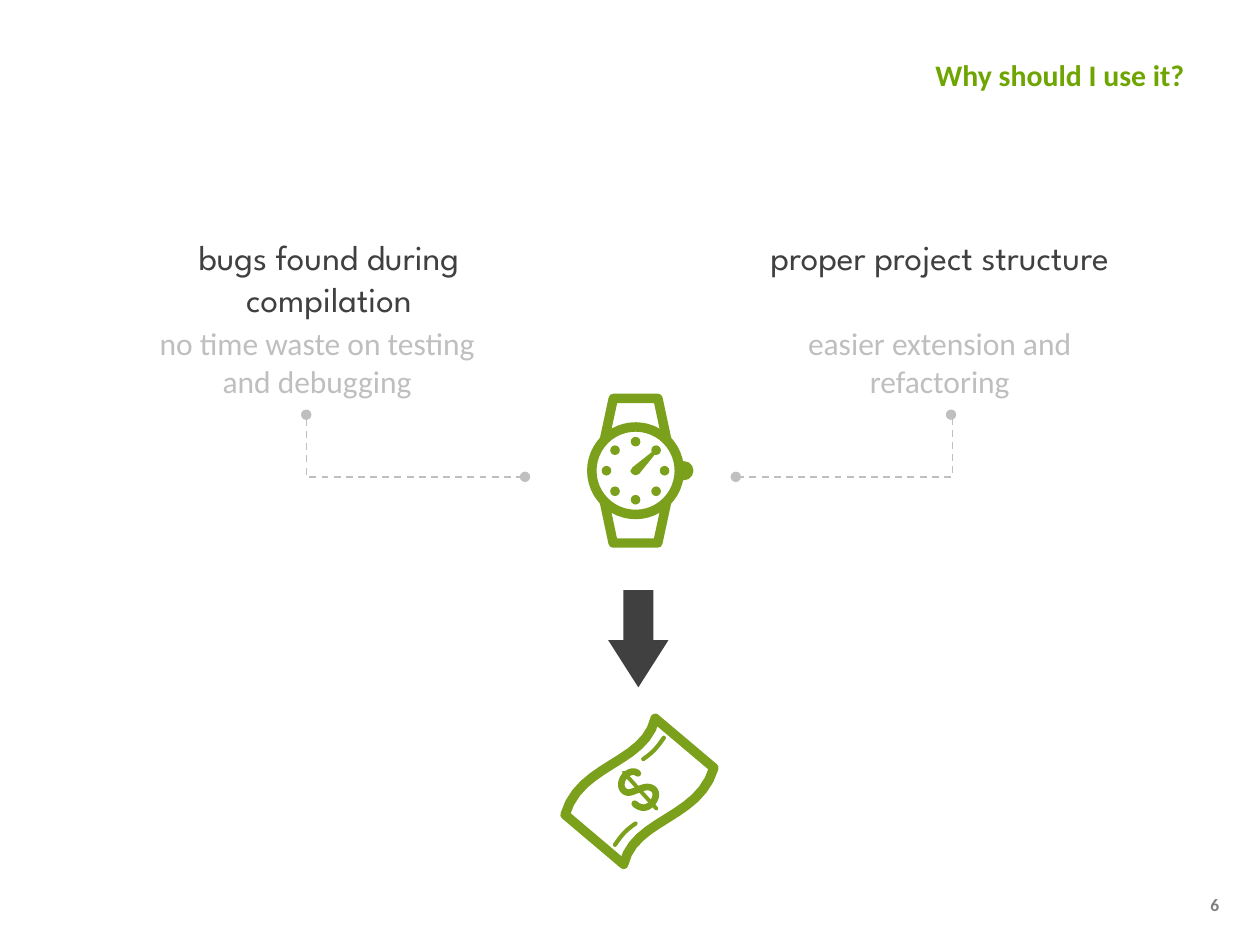
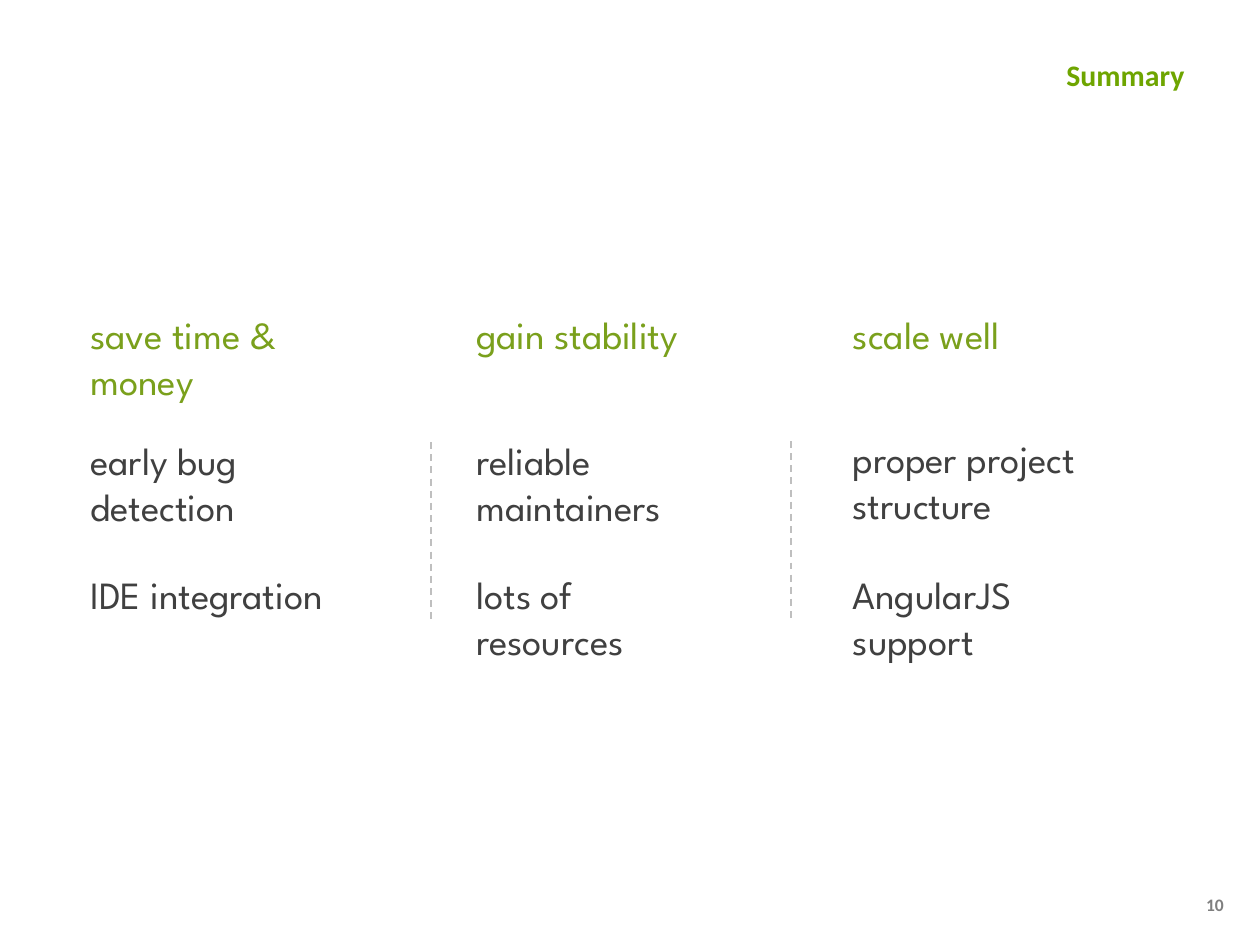
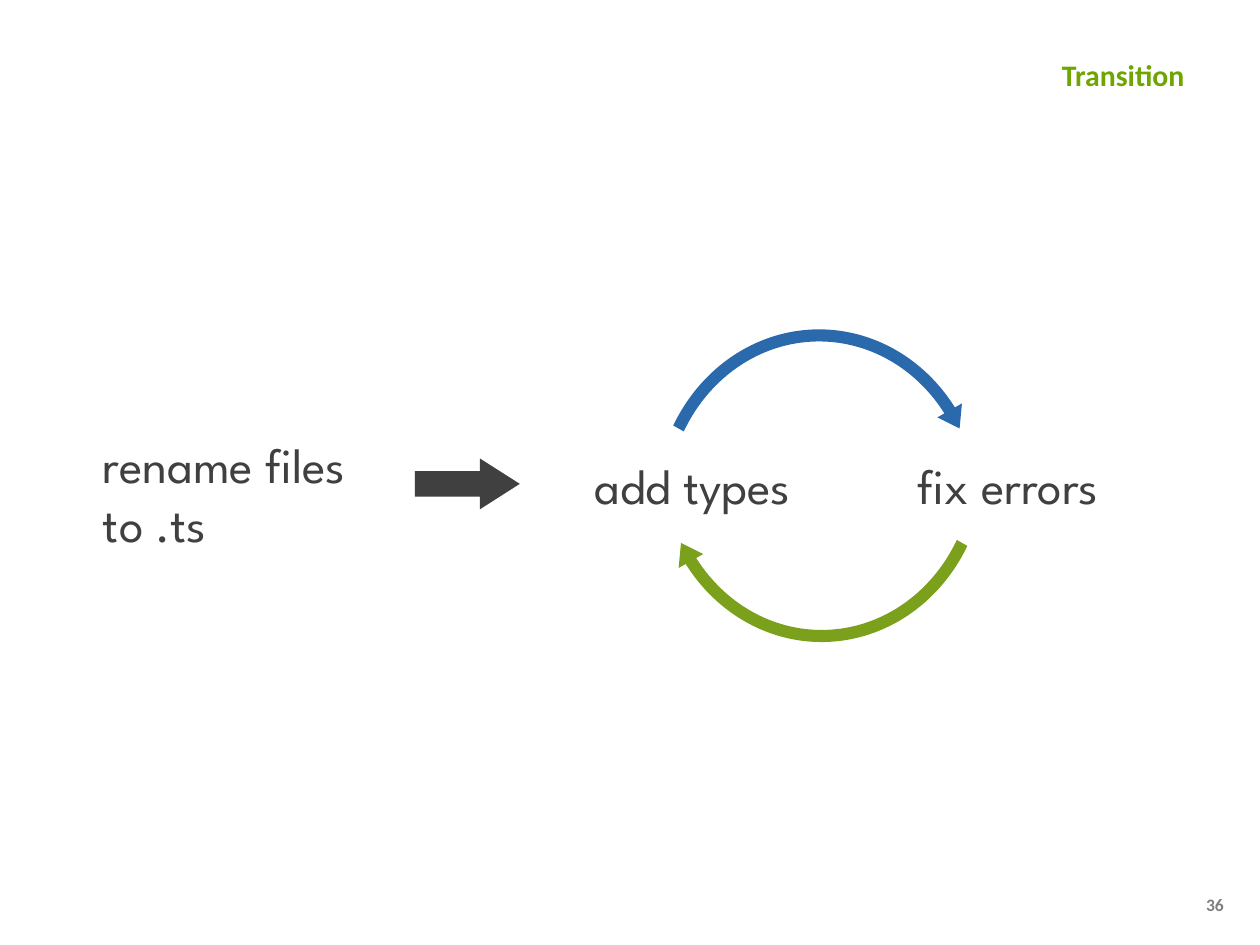
import math
import pptx
import pptx.dml.color
import pptx.enum.dml
import pptx.enum.shapes
import pptx.enum.text
import pptx.oxml
import pptx.oxml.ns
import pptx.util

Pt = pptx.util.Pt
KIND = pptx.enum.shapes.MSO_SHAPE
LINK = pptx.enum.shapes.MSO_CONNECTOR
ALIGN = pptx.enum.text.PP_ALIGN

GREEN, LIME, BLUE = "7AA01C", "6EA500", "2B69AD"
DARK, MID, PALE, WHITE = "404040", "7F7F7F", "BFBFBF", "FFFFFF"
BODY, HEAD = "Calibri", "League Spartan"

# Slide content: title and page number, then the parts
WHY = ("Why should I use it?", "6")
SUM = ("Summary", "10")
MOVE = ("Transition", "36")

# text, left, top, width, height, size, font, colour
REASONS = [
    ("bugs found during compilation", 74.5, 131, 227, 55.5, 20, HEAD, DARK),
    ("no time waste on testing and debugging", 84, 181.5, 194.5, 51, 18, BODY, PALE),
    ("proper project structure", 429, 131, 216, 55.5, 20, HEAD, DARK),
    ("easier extension and refactoring", 424, 181.5, 226, 51, 18, BODY, PALE),
]
# start, end, bend position as a share of the width
LINKS = [((175, 237), (300, 272.5), 0.001), ((543.5, 237), (420.5, 272.5), -0.007)]

# left, heading, first point, its top, second point, width
COLUMNS = [
    (44.5, ["save time & money"], ["early bug detection"], 246.2,
     ["IDE integration"], 167),
    (265, ["gain stability"], ["reliable maintainers"], 246.2,
     ["lots of", "resources"], 187),
    (480.2, ["scale well"], ["proper project structure"], 244.8,
     ["AngularJS", "support"], 188),
]
RULES = [(246.2, 252.7), (452.2, 252)]

# text, left, top, width, height, alignment
STEPS = [
    ("rename files to .ts", 51.8, 244.8, 170.6, 75, ALIGN.LEFT),
    ("add types", 301.7, 257, 188, 41, ALIGN.CENTER),
    ("fix errors", 492.5, 257, 167, 41, ALIGN.CENTER),
]
# left, top, rotation, colour
TURNS = [(369.4, 183.6, 0, BLUE), (370.8, 157.7, 180, GREEN)]
TURN = [0.035, 4.356, 193.889, 125.755, 0.041]
ARROW = [0.5, 0.783]

# Icon outlines
DIAL = (363.2, 269)
STRAP = [(350.5, 227.7), (376, 227.7), (384.8, 269)]
HAND = [(376.3, 255.4), (361.4, 267.1), (360.2, 269.3), (361.4, 270.9),
        (363.2, 271.6), (365.2, 270.9), (377.1, 256.2)]
NOTE = (365.4, 452.2)
EDGE = [(407.9, 438.8), (399.6, 468), (362.2, 468), (356.4, 493.9)]
MARK = [(379.4, 421.6), (375, 428), (373, 430), (367.6, 433.8)]
DOLLAR = [(364.5, 442), (362.5, 440.3), (359.5, 440.5), (356.5, 444),
          (353.8, 448), (355, 452.5), (359, 453), (364, 452.5),
          (369, 447.5), (373.5, 451), (377, 454.5), (372.5, 461),
          (368.5, 461.5), (366, 461.8), (364, 460.5), (362.7, 459.3)]
SLASH = [(356.4, 441.4), (375.2, 462.2)]


def tint(text):
    return pptx.dml.color.RGBColor.from_string(text)


def paint(shape, fill=None, line=None, width=1):
    """Give a shape its fill and line; None means none."""
    shape.shadow.inherit = False
    if fill:
        shape.fill.solid()
        shape.fill.fore_color.rgb = tint(fill)
    else:
        shape.fill.background()
    if line:
        shape.line.color.rgb = tint(line)
        shape.line.width = Pt(width)
        edge = shape.line._get_or_add_ln()
        edge.set("cap", "rnd")
        pptx.oxml.ns.qn("a:round")
        edge.append(edge.makeelement(pptx.oxml.ns.qn("a:round"), {}))
    else:
        shape.line.fill.background()


def write(slide, lines, x, y, w, h, size, font=HEAD, color=DARK,
          align=ALIGN.LEFT, bold=False, middle=False):
    frame = slide.shapes.add_textbox(Pt(x), Pt(y), Pt(w), Pt(h)).text_frame
    frame.word_wrap = True
    if middle:
        frame.vertical_anchor = pptx.enum.text.MSO_ANCHOR.MIDDLE
    else:
        frame.auto_size = pptx.enum.text.MSO_AUTO_SIZE.SHAPE_TO_FIT_TEXT
    for i, line in enumerate(lines):
        para = frame.add_paragraph() if i else frame.paragraphs[0]
        para.alignment = align
        run = para.add_run()
        run.text = line
        run.font.name = font
        run.font.size = Pt(size)
        run.font.bold = bold
        run.font.color.rgb = tint(color)


def shape(slide, kind, x, y, w, h, fill, turn=0, adj=()):
    item = slide.shapes.add_shape(kind, Pt(x), Pt(y), Pt(w), Pt(h))
    for i, value in enumerate(adj):
        item.adjustments[i] = value
    item.rotation = turn
    paint(item, fill)
    return item


def disc(slide, x, y, r, fill):
    return shape(slide, KIND.OVAL, x - r, y - r, 2 * r, 2 * r, fill)


def trace(slide, points, close=True, **look):
    """Draw an outline through the points."""
    spots = [(Pt(x), Pt(y)) for x, y in points]
    pen = slide.shapes.build_freeform(*spots[0], scale=1.0)
    pen.add_line_segments(spots[1:], close=close)
    paint(pen.convert_to_shape(), **look)


def curve(knots, steps=12):
    """Points along joined cubic curves."""
    out = [knots[0]]
    for k in range(0, len(knots) - 1, 3):
        for s in range(1, steps + 1):
            t = s / steps
            mix = ((1 - t) ** 3, 3 * t * (1 - t) ** 2, 3 * t * t * (1 - t), t ** 3)
            out.append(tuple(sum(m * p[i] for m, p in zip(mix, knots[k:k + 4]))
                             for i in (0, 1)))
    return out


def spin(points, hub):
    """Turn points half round about the hub."""
    return [(2 * hub[0] - x, 2 * hub[1] - y) for x, y in points]


def link(slide, kind, start, end, bend=None):
    """Add a dashed connector; one with a bend gets round ends."""
    item = slide.shapes.add_connector(kind, *map(Pt, start + end))
    item.line.color.rgb = tint(PALE)
    item.line.width = Pt(1)
    item.line.dash_style = pptx.enum.dml.MSO_LINE.DASH
    props = item._element.spPr
    qn = pptx.oxml.ns.qn
    if bend is not None:
        edge = item.line._get_or_add_ln()
        for tag in ("a:headEnd", "a:tailEnd"):
            edge.append(edge.makeelement(qn(tag), {"type": "oval"}))
        geom = props.find(qn("a:prstGeom"))
        for old in list(geom):
            geom.remove(old)
        rules = geom.makeelement(qn("a:avLst"), {})
        rules.append(geom.makeelement(
            qn("a:gd"), {"name": "adj1", "fmla": f"val {round(bend * 100000)}"}))
        geom.append(rules)
    props.append(props.makeelement(qn("a:effectLst"), {}))


def page(deck, title, number):
    slide = deck.slides.add_slide(deck.slide_layouts[6])
    write(slide, [number], 670.5, 507.6, 47.5, 19.5, 10, BODY, MID,
          ALIGN.CENTER, bold=True)
    write(slide, [title], 172, 15, 512, 55, 17, BODY, LIME,
          ALIGN.RIGHT, bold=True, middle=True)
    return slide


def watch(slide):
    x, y = DIAL
    disc(slide, x + 27.6, y, 5.5, GREEN)
    trace(slide, STRAP + spin(STRAP, DIAL), fill=WHITE, line=GREEN, width=5.4)
    paint(disc(slide, x, y, 25, WHITE), WHITE, GREEN, 5.4)
    for k in range(8):
        angle = k * math.pi / 4
        disc(slide, x + 16.6 * math.cos(angle), y + 16.6 * math.sin(angle),
             2.75, GREEN)
    trace(slide, HAND, fill=GREEN)


def money(slide):
    side = curve(EDGE)
    trace(slide, side + spin(side, NOTE), line=GREEN, width=5.4)
    mark = curve(MARK)
    for line in (mark, spin(mark, NOTE)):
        trace(slide, line, close=False, line=GREEN, width=2.4)
    trace(slide, curve(DOLLAR), close=False, line=GREEN, width=3.8)
    trace(slide, SLASH, close=False, line=GREEN, width=2.2)


def why(deck):
    slide = page(deck, *WHY)
    for text, x, y, w, h, size, font, color in REASONS:
        write(slide, [text], x, y, w, h, size, font, color, ALIGN.CENTER)
    watch(slide)
    for start, end, bend in LINKS:
        link(slide, LINK.ELBOW, start, end, bend)
    money(slide)
    shape(slide, KIND.RIGHT_ARROW, 337, 347.8, 55.5, 34.5, DARK, 90, ARROW)


def summary(deck):
    slide = page(deck, *SUM)
    for x, head, first, top, second, w in COLUMNS:
        write(slide, head, x, 174.2, w, 34, 22, color=GREEN)
        write(slide, first, x, top, w, 60.5, 22)
        write(slide, second, x, 322.8, w + 20, 60.5, 22)
    for x, y in RULES:
        link(slide, LINK.STRAIGHT, (x, y), (x, y + 104))


def move(deck):
    slide = page(deck, *MOVE)
    for text, x, y, w, h, align in STEPS:
        write(slide, [text], x, y, w, h, 28, align=align)
    shape(slide, KIND.RIGHT_ARROW, 237, 262, 60, 29, DARK, 0, ARROW)
    for x, y, turn, color in TURNS:
        shape(slide, KIND.CIRCULAR_ARROW, x, y, 197.3, 213.8, color, turn, TURN)


def main():
    deck = pptx.Presentation()
    deck.slide_width, deck.slide_height = Pt(720), Pt(540)
    for build in (why, summary, move):
        build(deck)
    deck.save("out.pptx")


if __name__ == "__main__":
    main()
